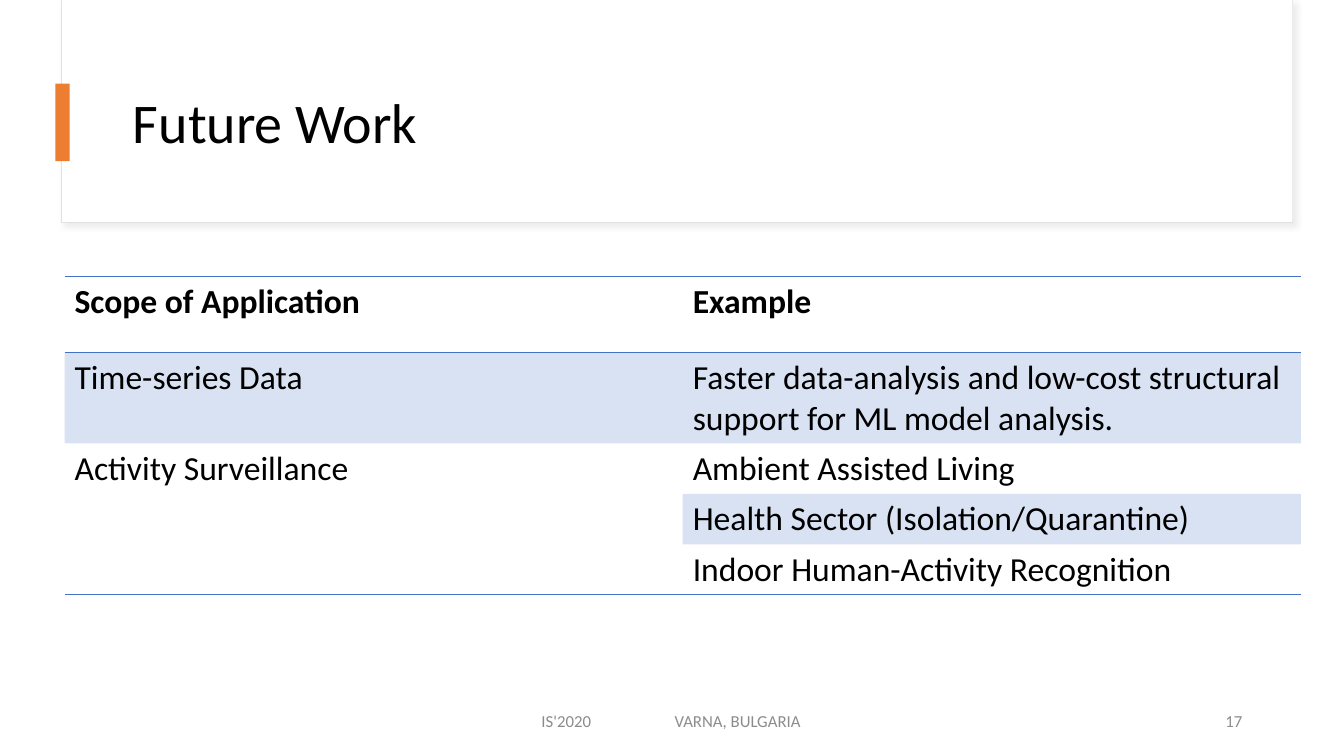
from lxml.etree import SubElement as Sub
from pptx import Presentation
from pptx.dml.color import RGBColor as RGB
from pptx.enum.shapes import MSO_SHAPE as Shape
from pptx.enum.text import MSO_ANCHOR as Anchor, PP_ALIGN as Align
from pptx.oxml.ns import qn
from pptx.util import Inches, Pt

WIDE, HIGH = Inches(13.33), Inches(7.5)
FONT = "Calibri"
PLAIN = "{2D5ABB26-0587-4C30-8999-92F81FD0307C}"
COLORS = {"white": "FFFFFF", "edge": "E1E1E1", "shade": "D9D9D9",
          "accent": "ED7D31", "blue": "4472C4", "ink": "000000", "gray": "8C8C8C"}
HEADS = ("Scope of Application", "Example")
SCOPES = {
    "Time-series Data": [
        "Faster data-analysis and low-cost structural support for ML model analysis."],
    "Activity Surveillance": [
        "Ambient Assisted Living",
        "Health Sector (Isolation/Quarantine)",
        "Indoor Human-Activity Recognition"],
}
TALL, LOW = 10.13, 5.73


def across(share):
    return int(WIDE * share / 100)


def down(share):
    return int(HIGH * share / 100)


def place(x, y, w, h):
    """Turn percentages of the slide into a position and size."""
    return across(x), down(y), across(w), down(h)


def color(name):
    return RGB.from_string(COLORS[name])


def style(item, **values):
    for name, value in values.items():
        setattr(item, name, value)


def add_rect(slide, area, fill, line=None):
    rect = slide.shapes.add_shape(Shape.RECTANGLE, *place(*area))
    rect.shadow.inherit = False
    rect.fill.solid()
    rect.fill.fore_color.rgb = color(fill)
    if line:
        rect.line.color.rgb = color(line)
        rect.line.width = Pt(0.75)
    else:
        rect.line.fill.background()
    return rect


def add_shade(rect):
    """Give the rectangle a soft shadow to the lower right."""
    props = rect._element.spPr
    effects = props.find(qn("a:effectLst"))
    shade = Sub(effects, qn("a:outerShdw"), blurRad=str(Pt(4)),
                dist=str(Pt(3)), dir=str(45 * 60000), rotWithShape="0")
    tint = Sub(shade, qn("a:srgbClr"), val=COLORS["shade"])
    Sub(tint, qn("a:alpha"), val="50000")


def put_text(frame, text, size, ink="ink", bold=False, **para):
    first = frame.paragraphs[0]
    style(first, **para)
    run = first.add_run()
    run.text = text
    style(run.font, name=FONT, size=Pt(size), bold=bold)
    run.font.color.rgb = color(ink)


def add_text(slide, area, text, size, ink="ink", inset=0.1, **para):
    frame = slide.shapes.add_textbox(*place(*area)).text_frame
    style(frame, word_wrap=True, vertical_anchor=Anchor.MIDDLE,
          margin_left=Inches(inset))
    put_text(frame, text, size, ink, **para)
    return frame


def add_tab(frame, stop):
    props = frame.paragraphs[0]._p.get_or_add_pPr()
    tabs = Sub(props, qn("a:tabLst"))
    Sub(tabs, qn("a:tab"), pos=str(Inches(stop)), algn="l")


def set_cell(cell, text, sides=(), band=False, bold=False):
    """Fill in a cell, with rules on the given sides ("T", "B")."""
    props = cell._tc.get_or_add_tcPr()
    for side in sides:
        line = Sub(props, qn("a:ln" + side), w=str(Pt(1)))
        Sub(Sub(line, qn("a:solidFill")), qn("a:srgbClr"), val=COLORS["blue"])
    if band:
        cell.fill.solid()
        cell.fill.fore_color.rgb = color("blue")
        tint = props.find(qn("a:solidFill")).find(qn("a:srgbClr"))
        Sub(tint, qn("a:alpha"), val="20000")
    else:
        cell.fill.background()
    if text:
        put_text(cell.text_frame, text, 24, bold=bold)


def add_grid(slide):
    rows = [(scope if not i else "", case)
            for scope, cases in SCOPES.items() for i, case in enumerate(cases)]
    last = len(rows)
    highs = [TALL, TALL] + [LOW] * (last - 1)
    grid = slide.shapes.add_table(
        last + 1, 2, *place(4.8, 36.53, 92, sum(highs))).table
    style(grid, first_row=True, horz_banding=True)
    grid._tbl.tblPr.find(qn("a:tableStyleId")).text = PLAIN
    for row, high in zip(grid.rows, highs):
        row.height = down(high)
    for col, head in enumerate(HEADS):
        set_cell(grid.cell(0, col), head, "TB", bold=True)
    for r, (scope, case) in enumerate(rows, 1):
        ends = r == last
        merged = len(SCOPES.get(scope, ())) > 1
        band = r % 2 == 1
        set_cell(grid.cell(r, 0), scope, "B" if ends or merged else "",
                 band and bool(scope))
        set_cell(grid.cell(r, 1), case, "B" if ends else "", band)
    start = 1
    for cases in SCOPES.values():
        end = start + len(cases) - 1
        if end > start:
            grid.cell(start, 0).merge(grid.cell(end, 0))
        start = end + 1


def main():
    deck = Presentation()
    style(deck, slide_width=WIDE, slide_height=HIGH)
    slide = deck.slides.add_slide(deck.slide_layouts[6])
    add_shade(add_rect(slide, (4.58, 0, 91.6, 29.47), "white", "edge"))
    add_rect(slide, (4.65, 0, 91.52, 29.33), "white")
    add_text(slide, (9.15, 8, 83.42, 17.2), "Future Work", 40, line_spacing=0.9)
    add_rect(slide, (4.13, 11.07, 1.05, 10.27), "accent")
    add_grid(slide)
    foot = add_text(slide, (33.16, 92.67, 33.76, 5.33),
                    "IS'2020\tVARNA, BULGARIA", 12, "gray", inset=0.95)
    add_tab(foot, 1.32)
    add_text(slide, (70.67, 92.67, 22.5, 5.33), "17", 12, "gray",
             alignment=Align.RIGHT)
    deck.save("out.pptx")


if __name__ == "__main__":
    main()
